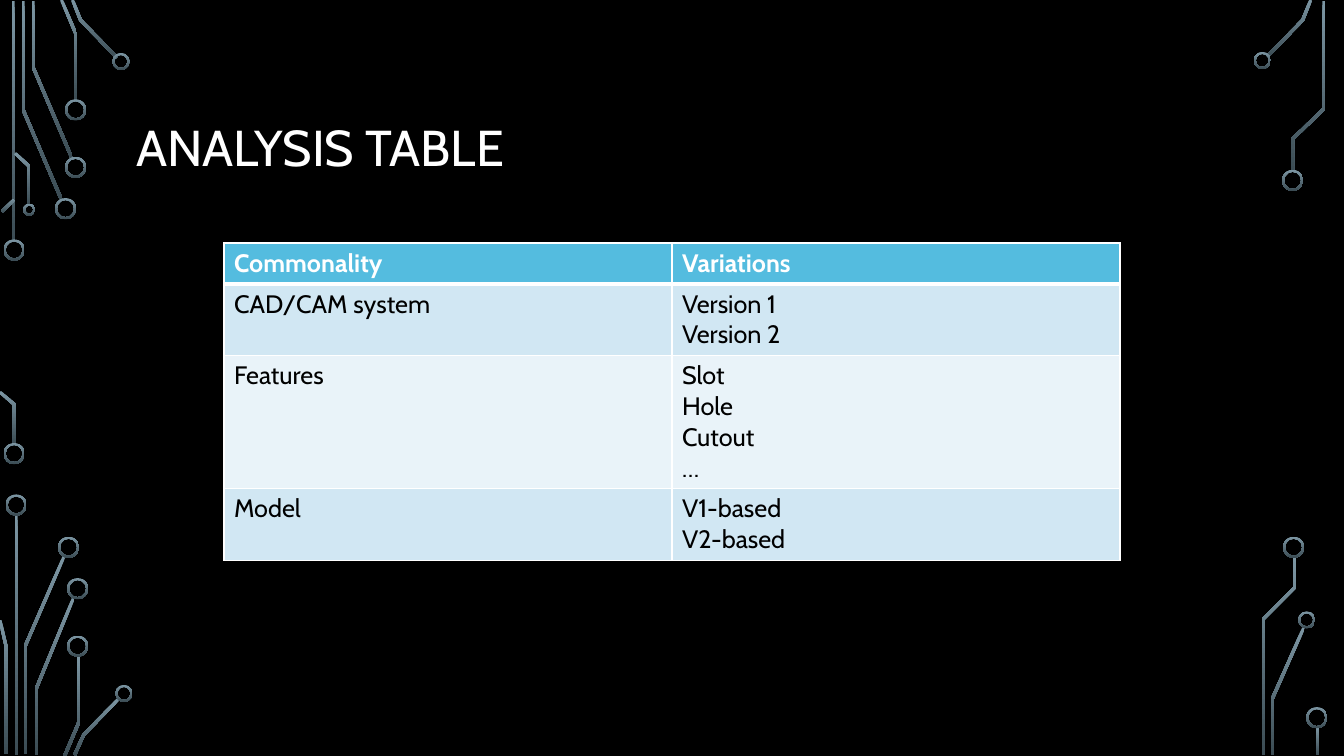
import math
import dataclasses
import lxml.etree
import pptx
import pptx.dml.color
import pptx.enum.shapes
import pptx.enum.text
import pptx.oxml.ns
import pptx.util

Inch = pptx.util.Inches
Shape = pptx.enum.shapes.MSO_SHAPE
Anchor = pptx.enum.text.MSO_ANCHOR
Align = pptx.enum.text.PP_ALIGN


@dataclasses.dataclass(frozen=True)
class Theme:
    font: str = "Cabin"
    title_size: int = 36
    cell_size: int = 18
    back: str = "000000"
    white: str = "FFFFFF"
    ink: str = "000000"
    head: str = "54BCDF"
    bands: tuple = ("E9F3F9", "D1E7F3")
    glow: tuple = ("7C96A3", "3B4C54")
    thin: int = 1
    thick: int = 3
    wire: float = 0.03
    rim: float = 0.02


THEME = Theme()
WIDE, HIGH = 13.33, 7.5

ROWS = [
    ("Commonality", ["Variations"]),
    ("CAD/CAM system", ["Version 1", "Version 2"]),
    ("Features", ["Slot", "Hole", "Cutout", "…"]),
    ("Model", ["V1-based", "V2-based"]),
]

# Circuit art, in inches from the corner of each box:
# bars are (x, top, bottom), wires are bent lines, rings are (x, y, size)
CIRCUITS = [
    dict(box=(0, 0),
         bars=[(0.13, 0.01, 2.4)],
         wires=[[(0.23, 0.01), (0.23, 1.09), (0.61, 1.98)],
                [(0.33, 0.01), (0.33, 0.67), (0.71, 1.56)],
                [(0.61, 0), (0.75, 0.33), (0.75, 1)],
                [(0.72, 0), (0.8, 0.2), (1.16, 0.57)],
                [(0.14, 1.98), (0.02, 2.1)],
                [(0.15, 1.52), (0.29, 1.65), (0.29, 2.03)]],
         rings=[(0.14, 2.48, 0.21), (0.65, 2.07, 0.21), (0.75, 1.66, 0.21),
                (0.75, 1.09, 0.21), (1.2, 0.61, 0.17), (0.29, 2.08, 0.12)]),
    dict(box=(0, HIGH / 2),
         bars=[(0.16, 1.35, 3.74)],
         wires=[[(0, 0.14), (0.14, 0.26), (0.14, 0.66)],
                [(0.25, 3.73), (0.25, 2.66), (0.64, 1.76)],
                [(0, 2.4), (0.06, 2.66), (0.06, 3.73)],
                [(0.36, 3.74), (0.36, 3.08), (0.73, 2.18)],
                [(0.78, 2.75), (0.78, 3.42), (0.64, 3.75)],
                [(1.18, 3.18), (0.83, 3.54), (0.74, 3.74)]],
         rings=[(0.14, 0.75, 0.21), (0.16, 1.26, 0.21), (0.68, 1.68, 0.21),
                (0.77, 2.09, 0.21), (0.77, 2.66, 0.21), (1.23, 3.13, 0.17)]),
    dict(box=(WIDE - 1, 0),
         bars=[],
         wires=[[(0.67, 0), (0.59, 0.2), (0.24, 0.56)],
                [(0.8, 0.01), (0.8, 1.08), (0.49, 1.38), (0.49, 1.69)]],
         rings=[(0.19, 0.6, 0.17), (0.49, 1.79, 0.21)]),
    dict(box=(WIDE - 1, HIGH - 2.5),
         bars=[(0.74, 2.21, 2.49)],
         wires=[[(0.29, 2.49), (0.29, 1.93), (0.6, 1.23)],
                [(0.51, 0.52), (0.51, 0.83), (0.2, 1.14), (0.2, 2.49)]],
         rings=[(0.63, 1.15, 0.17), (0.5, 0.43, 0.21), (0.73, 2.12, 0.21)]),
]


def color(code):
    return pptx.dml.color.RGBColor.from_string(code)


def style(par, size, code, bold=False):
    font = par.font
    font.name, font.size, font.bold = THEME.font, pptx.util.Pt(size), bold
    font.color.rgb = color(code)


def shade(shape):
    """Fade a shape from light at the top to dark at the foot."""
    shape.shadow.inherit = False
    shape.line.fill.background()
    shape.fill.gradient()
    shape.fill.gradient_angle = 270
    for stop, code, place in zip(shape.fill.gradient_stops, THEME.glow, (0, 1)):
        stop.color.rgb, stop.position = color(code), place


def edge(line, width):
    """Points on one side of a bent line, with mitred corners."""
    turns = [math.atan2(y2 - y1, x2 - x1)
             for (x1, y1), (x2, y2) in zip(line, line[1:])]
    side = []
    for (x, y), a, b in zip(line, turns[:1] + turns, turns + turns[-1:]):
        mid, reach = (a + b) / 2, width / 2 / math.cos((b - a) / 2)
        side.append((x - reach * math.sin(mid), y + reach * math.cos(mid)))
    return side


def draw_circuit(slide, box, bars, wires, rings):
    left, top = box
    shapes = slide.shapes
    # Straight bars
    for x, start, end in bars:
        shade(shapes.add_shape(
            Shape.RECTANGLE, Inch(left + x - THEME.wire / 2), Inch(top + start),
            Inch(THEME.wire), Inch(end - start)))
    # Bent wires
    for wire in wires:
        rim = edge(wire, THEME.wire) + edge(wire, -THEME.wire)[::-1]
        spots = [(Inch(left + x), Inch(top + y)) for x, y in rim]
        build = shapes.build_freeform(*spots[0])
        build.add_line_segments(spots[1:], close=True)
        shade(build.convert_to_shape())
    # End rings
    for x, y, size in rings:
        ring = shapes.add_shape(
            Shape.DONUT, Inch(left + x - size / 2), Inch(top + y - size / 2),
            Inch(size), Inch(size))
        ring.adjustments[0] = THEME.rim / size
        shade(ring)


def draw_title(slide, box, text):
    title = slide.shapes.title
    title.left, title.top, title.width, title.height = map(Inch, box)
    frame = title.text_frame
    frame.text = text
    frame.word_wrap = True
    frame.auto_size = pptx.enum.text.MSO_AUTO_SIZE.NONE
    frame.vertical_anchor = Anchor.MIDDLE
    par = frame.paragraphs[0]
    par.alignment, par.line_spacing = Align.LEFT, 0.9
    style(par, THEME.title_size, THEME.white)


def add_edges(cell, widths):
    props = cell._tc.get_or_add_tcPr()
    for tag, width in widths.items():
        line = lxml.etree.SubElement(
            props, pptx.oxml.ns.qn("a:" + tag), w=str(pptx.util.Pt(width)))
        fill = lxml.etree.SubElement(line, pptx.oxml.ns.qn("a:solidFill"))
        lxml.etree.SubElement(
            fill, pptx.oxml.ns.qn("a:srgbClr"), val=THEME.white)


def draw_table(slide, box, rows):
    left, top, width = box
    highs = [0.1 + 0.305 * len(items) for _, items in rows]
    table = slide.shapes.add_table(
        len(rows), 2, Inch(left), Inch(top), Inch(width), Inch(sum(highs))).table
    for r, (name, items) in enumerate(rows):
        table.rows[r].height = Inch(highs[r])
        head = r == 0
        for c, text in enumerate((name, "\n".join(items))):
            cell = table.cell(r, c)
            add_edges(cell, dict(
                lnL=THEME.thin, lnR=THEME.thin,
                lnT=THEME.thick if r == 1 else THEME.thin,
                lnB=THEME.thick if head else THEME.thin))
            cell.fill.solid()
            cell.fill.fore_color.rgb = color(
                THEME.head if head else THEME.bands[r % 2])
            cell.text_frame.text = text
            for par in cell.text_frame.paragraphs:
                style(par, THEME.cell_size,
                      THEME.white if head else THEME.ink, head)


def main():
    deck = pptx.Presentation()
    deck.slide_width, deck.slide_height = Inch(WIDE), Inch(HIGH)
    slide = deck.slides.add_slide(deck.slide_layouts.get_by_name("Title Only"))
    slide.background.fill.solid()
    slide.background.fill.fore_color.rgb = color(THEME.back)
    for part in CIRCUITS:
        draw_circuit(slide, **part)
    draw_title(slide, (1.25, 0.68, 10.83, 1.62), "ANALYSIS TABLE")
    draw_table(slide, (WIDE / 6, 2.41, WIDE * 2 / 3), ROWS)
    deck.save("out.pptx")


if __name__ == "__main__":
    main()
